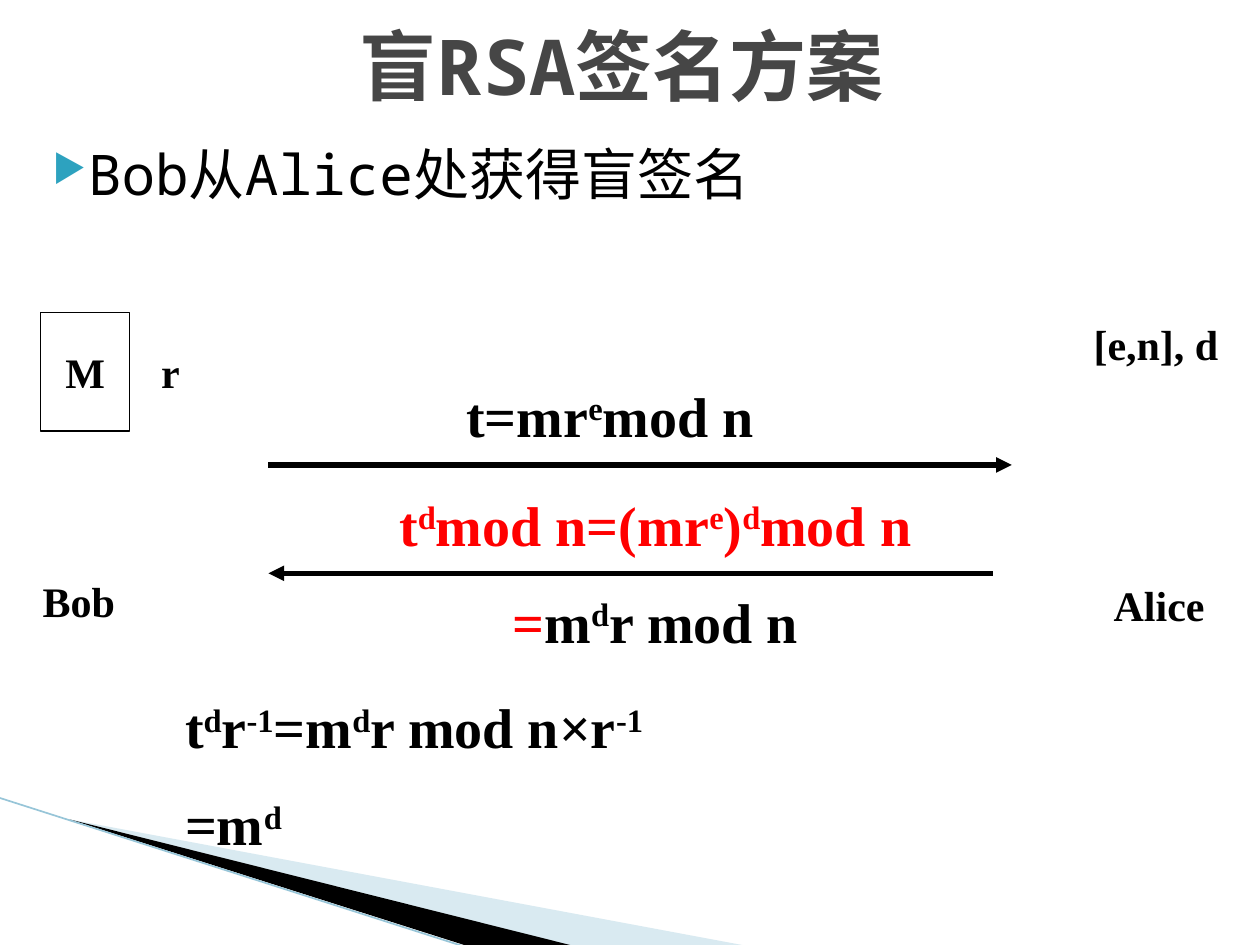
import pptx
import pptx.util
import pptx.dml.color
import pptx.enum.shapes
import pptx.enum.text
import pptx.oxml
import pptx.oxml.ns
import lxml.etree

Pt = pptx.util.Pt
qn = pptx.oxml.ns.qn
ALIGN = pptx.enum.text.PP_ALIGN
ANCHOR = pptx.enum.text.MSO_ANCHOR

COLORS = {"ink": "000000", "title": "464646", "accent": "2DA2BF", "red": "FF0000",
          "paper": "FFFFFF", "wedge": "A0CBDC", "edge": "97C5D8"}
MONO, SERIF = "Noto Sans Mono", "Times New Roman"
LABEL = {"name": SERIF, "size": Pt(24), "bold": True}
FORMULA = {"name": SERIF, "size": Pt(32), "bold": True}


def rgb(key):
    return pptx.dml.color.RGBColor.from_string(COLORS[key])


def add_runs(p, text, color, fmt):
    """Add runs to a paragraph; parts between ^ marks are superscript."""
    for i, part in enumerate(text.split("^")):
        if not part:
            continue
        r = p.add_run()
        r.text = part
        for key, value in fmt.items():
            setattr(r.font, key, value)
        r.font.color.rgb = rgb(color)
        if i % 2:
            r.font._element.set("baseline", "30000")


def add_text(s, box, lines, fmt, align=ALIGN.LEFT, anchor=ANCHOR.TOP):
    """Add a text box; each line is a list of (text, colour) pairs."""
    tf = s.shapes.add_textbox(*map(Pt, box)).text_frame
    tf.word_wrap = True
    tf.vertical_anchor = anchor
    for i, line in enumerate(lines):
        p = tf.add_paragraph() if i else tf.paragraphs[0]
        p.alignment = align
        if i:
            p.space_before = Pt(17)
        for text, color in line:
            add_runs(p, text, color, fmt)
    return tf


def add_line(s, start, end, color, width, arrow=False):
    sp = s.shapes.add_connector(pptx.enum.shapes.MSO_CONNECTOR.STRAIGHT,
                                *map(Pt, start + end))
    sp.line.color.rgb = rgb(color)
    sp.line.width = Pt(width)
    if arrow:
        ln = sp.line._get_or_add_ln()
        lxml.etree.SubElement(ln, qn("a:tailEnd"), type="triangle")
    lxml.etree.SubElement(sp._element.spPr, qn("a:effectLst"))


def add_wedge(s, points, color, alpha=None):
    builder = s.shapes.build_freeform(*map(Pt, points[0]), scale=1.0)
    builder.add_line_segments([(Pt(x), Pt(y)) for x, y in points[1:]], close=True)
    sp = builder.convert_to_shape()
    sp.shadow.inherit = False
    sp.fill.solid()
    sp.fill.fore_color.rgb = rgb(color)
    sp.line.fill.background()
    if alpha:
        clr = sp._element.spPr.find(".//" + qn("a:srgbClr"))
        lxml.etree.SubElement(clr, qn("a:alpha"), val=str(alpha * 1000))


def corner(s, x, y):
    """Wedges in the lower left corner, starting at the slide's left edge."""
    tip = (x + 39.6, y + 12.4)
    base = y + 85
    add_wedge(s, [tip, (x + 428.4, base), (x + 328.3, base)], "wedge", 40)
    add_wedge(s, [tip, (x + 329, base), (x + 267.8, base)], "ink")
    add_line(s, (x - 0.7, y), (x + 267.1, base + 0.7), "edge", 0.95)


def heading(s, x, y, w):
    """Title with one bulleted line under it."""
    add_text(s, (x, y, w, 67), [[("盲RSA签名方案 ", "title")]],
             {"name": MONO, "size": Pt(44), "bold": True}, ALIGN.CENTER, ANCHOR.MIDDLE)
    tf = add_text(s, (x, y + 72.7, w, 401.8), [[]], {})
    p = tf.paragraphs[0]
    pPr = p._p.get_or_add_pPr()
    pPr.set("marL", str(Pt(28.8)))
    pPr.set("indent", str(-Pt(20.2)))
    clr = lxml.etree.SubElement(pPr, qn("a:buClr"))
    lxml.etree.SubElement(clr, qn("a:srgbClr"), val=COLORS["accent"])
    lxml.etree.SubElement(pPr, qn("a:buSzPct"), val="68000")
    lxml.etree.SubElement(pPr, qn("a:buChar"), char="▶")
    add_runs(p, "Bob从Alice处获得盲签名", "ink", {"name": MONO, "size": Pt(32)})


def parties(s, x, y):
    """Message box and Bob on the left, key and Alice on the right."""
    sp = s.shapes.add_shape(pptx.enum.shapes.MSO_SHAPE.RECTANGLE,
                            *map(Pt, (x + 5.8, y, 51.1, 67.7)))
    sp.shadow.inherit = False
    sp.fill.solid()
    sp.fill.fore_color.rgb = rgb("paper")
    sp.line.color.rgb = rgb("ink")
    sp.line.width = Pt(0.75)
    tf = sp.text_frame
    tf.word_wrap = False
    tf.vertical_anchor = ANCHOR.MIDDLE
    tf.paragraphs[0].alignment = ALIGN.CENTER
    add_runs(tf.paragraphs[0], "M", "ink", LABEL)

    for text, dx, dy, w in [("r", 67.7, 15.8, 51.1), ("Bob", 0, 146.9, 102.2),
                            ("[e,n], d", 600.5, 0, 87.8), ("Alice", 612, 149, 73.4)]:
        add_text(s, (x + dx, y + dy, w, 36), [[(text, "ink")]], LABEL)


def exchange(s, x, y):
    """Blinded message to Alice, signature back, and Bob's unblinding."""
    add_line(s, (x, y + 51.1), (x + 424.8, y + 51.1), "ink", 3, arrow=True)
    add_line(s, (x + 414, y + 113), (x, y + 113), "ink", 3, arrow=True)
    add_text(s, (x + 95.8, y, 198.7, 46), [[("t=mr^e^mod n", "ink")]],
             FORMULA, ALIGN.CENTER)
    add_text(s, (x + 31, y + 62, 380.2, 104.4),
             [[("t^d^mod n=(mr^e^)^d^mod n", "red")],
              [("=", "red"), ("m^d^r mod n", "ink")]], FORMULA, ALIGN.CENTER)
    add_text(s, (x - 54.7, y + 177.8, 295.2, 104.4),
             [[("t^d^r^-1^=m^d^r mod n×r^-1^", "ink")], [("=m^d^", "ink")]], FORMULA)


def main():
    prs = pptx.Presentation()
    prs.slide_width, prs.slide_height = Pt(720), Pt(540)
    s = prs.slides.add_slide(prs.slide_layouts[6])
    corner(s, 0, 455.8)
    heading(s, 14.4, 3.6, 692)
    parties(s, 17.3, 178.6)
    exchange(s, 153.4, 214.6)
    prs.save("out.pptx")


if __name__ == "__main__":
    main()
